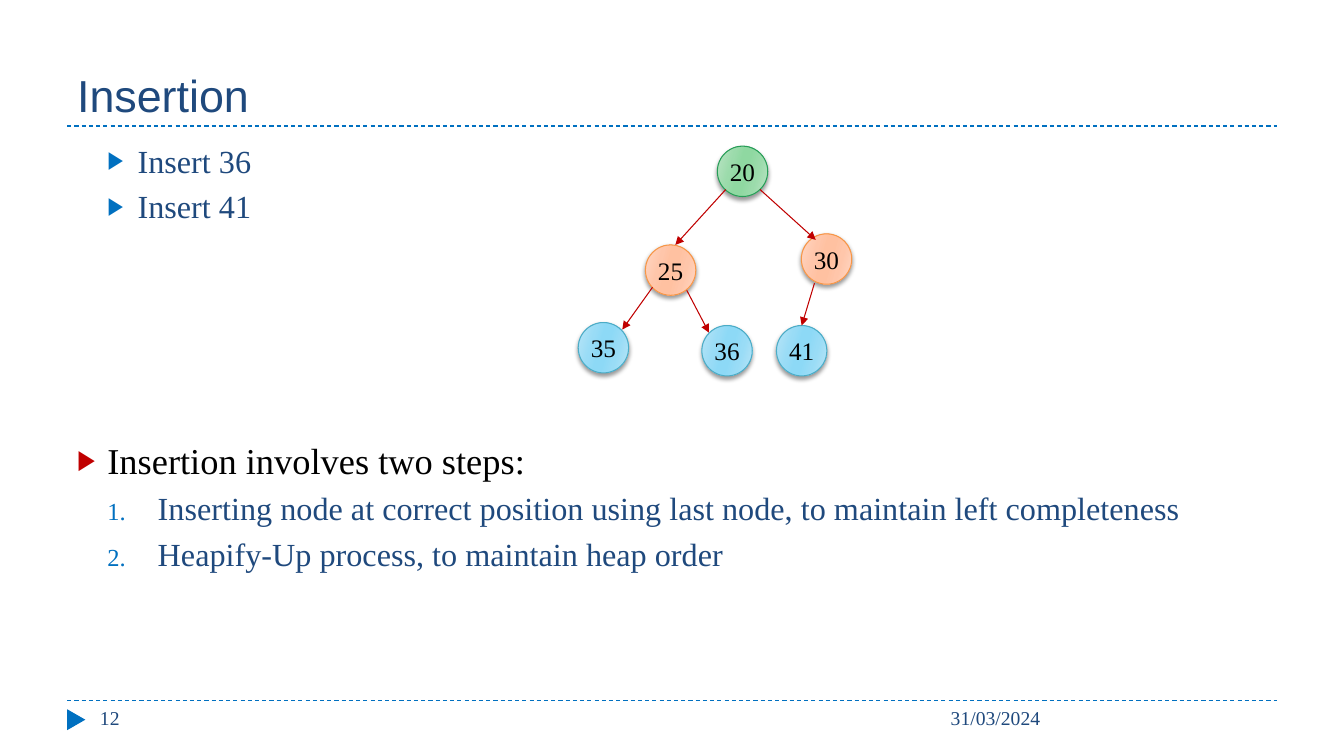
from dataclasses import dataclass

from lxml import etree
from pptx import Presentation
from pptx.dml.color import RGBColor
from pptx.enum.dml import MSO_LINE
from pptx.enum.shapes import MSO_CONNECTOR, MSO_SHAPE
from pptx.enum.text import MSO_ANCHOR, PP_ALIGN
from pptx.oxml import parse_xml
from pptx.oxml.ns import nsdecls, qn
from pptx.util import Emu, Inches, Pt

STRAIGHT = MSO_CONNECTOR.STRAIGHT
ELLIPSE = MSO_SHAPE.OVAL
TRIANGLE = MSO_SHAPE.ISOSCELES_TRIANGLE
DASH = MSO_LINE.DASH
TOP, MIDDLE, BOTTOM = MSO_ANCHOR.TOP, MSO_ANCHOR.MIDDLE, MSO_ANCHOR.BOTTOM
CENTER = PP_ALIGN.CENTER

# Grid: 20 columns by 30 rows
WIDTH, HEIGHT = Inches(13.33), Inches(7.5)
COLUMN, ROW = WIDTH / 20, HEIGHT / 30


@dataclass(frozen=True)
class Theme:
    heading_font: str = "Arial"
    body_font: str = "Times New Roman"
    navy: str = "1F497D"
    blue: str = "0070C0"
    red: str = "C00000"
    black: str = "000000"
    title_size: int = 32
    topic_size: int = 26
    item_size: int = 23
    node_size: int = 18
    footer_size: int = 14
    line_width: float = 0.75
    bullet_percent: int = 76
    node_diameter: float = 0.5


THEME = Theme()

# Outline colour, then gradient colours from edge to middle
ROOT = ("279D57", ("BBE4C5", "9BDBAB", "8FD8A1"))
INNER = ("F79646", ("FFD7C5", "FFC6AA", "FFC1A1"))
LEAF = ("4BACC6", ("B9E5F7", "99DCF6", "8DD9F6"))
GRADIENT_STOPS = ((0, 0), (30, 1), (45, 2), (55, 2), (73, 1), (100, 0))

# Label, centre column, centre row, style
NODES = (
    ("20", 11.05, 6.8, ROOT),
    ("25", 9.98, 10.72, INNER),
    ("30", 12.3, 10.28, INNER),
    ("35", 8.98, 13.8, LEAF),
    ("36", 10.82, 13.92, LEAF),
    ("41", 11.93, 13.92, LEAF),
)

# Start and end as column and row
EDGES = (
    ((10.8, 7.52), (10.05, 9.72)),
    ((11.31, 7.52), (12.14, 9.52)),
    ((9.71, 11.4), (9.26, 13.08)),
    ((10.22, 11.52), (10.55, 13.2)),
    ((12.12, 11.24), (11.93, 12.92)),
)

ARROW, NUMBER = ("a:buChar", "char", "▶"), ("a:buAutoNum", "type", "arabicPeriod")

# Text, size, colour, bullet, bullet colour, left and hanging inches, space before
BODY = (
    ("Insert 36", THEME.item_size, THEME.navy, ARROW, THEME.blue, 0.6, 0.3, 5),
    ("Insert 41", THEME.item_size, THEME.navy, ARROW, THEME.blue, 0.6, 0.3, 5),
    ("Insertion involves two steps:", THEME.topic_size, THEME.black,
     ARROW, THEME.red, 0.3, 0.3, 152),
    ("Inserting node at correct position using last node, to maintain left completeness",
     THEME.item_size, THEME.navy, NUMBER, THEME.blue, 0.8, 0.5, 5),
    ("Heapify-Up process, to maintain heap order",
     THEME.item_size, THEME.navy, NUMBER, THEME.blue, 0.8, 0.5, 5),
)


def columns(count):
    return Emu(round(count * COLUMN))


def rows(count):
    return Emu(round(count * ROW))


def set_font(paragraph, size, color, name=THEME.body_font):
    font = paragraph.font
    font.name, font.size = name, Pt(size)
    font.color.rgb = RGBColor.from_string(color)


def add_text_frame(slide, left, top, width, height, anchor=TOP):
    box = slide.shapes.add_textbox(columns(left), rows(top), columns(width), rows(height))
    frame = box.text_frame
    frame.word_wrap = True
    frame.vertical_anchor = anchor
    return frame


def add_label(slide, text, area, size, name=THEME.body_font, anchor=TOP):
    paragraph = add_text_frame(slide, *area, anchor).paragraphs[0]
    paragraph.text = text
    set_font(paragraph, size, THEME.navy, name)


def set_bullet(paragraph, bullet, color, left, hanging):
    properties = paragraph._p.get_or_add_pPr()
    properties.set("marL", str(Inches(left)))
    properties.set("indent", str(-Inches(hanging)))
    tag, attribute, value = bullet
    parts = (
        f'<a:buClr {nsdecls("a")}><a:srgbClr val="{color}"/></a:buClr>',
        f'<a:buSzPct {nsdecls("a")} val="{THEME.bullet_percent * 1000}"/>',
        f'<a:buFont {nsdecls("a")} typeface="{THEME.body_font}"/>',
        f'<{tag} {nsdecls("a")} {attribute}="{value}"/>',
    )
    # Bullet settings come before the default run properties
    for position, part in enumerate(parts, start=len(properties.findall(qn("a:spcBef")))):
        properties.insert(position, parse_xml(part))


def add_body(slide):
    frame = add_text_frame(slide, 1, 5.4, 18, 21.6)
    for index, (text, size, color, bullet, bullet_color, left, hanging, space) in enumerate(BODY):
        paragraph = frame.add_paragraph() if index else frame.paragraphs[0]
        paragraph.text = text
        paragraph.space_before = Pt(space)
        set_font(paragraph, size, color)
        set_bullet(paragraph, bullet, bullet_color, left, hanging)


def add_line(slide, start, end, color):
    line = slide.shapes.add_connector(
        STRAIGHT, columns(start[0]), rows(start[1]), columns(end[0]), rows(end[1]))
    line.line.color.rgb = RGBColor.from_string(color)
    line.line.width = Pt(THEME.line_width)
    etree.SubElement(line._element.spPr, qn("a:effectLst"))
    return line


def add_rule(slide, row):
    add_line(slide, (1, row), (19, row), THEME.blue).line.dash_style = DASH


def add_edge(slide, start, end):
    edge = add_line(slide, start, end, THEME.red)
    etree.SubElement(edge.line._get_or_add_ln(), qn("a:tailEnd"), type="triangle")


def add_node(slide, label, column, row, style):
    outline, shades = style
    size = Inches(THEME.node_diameter)
    node = slide.shapes.add_shape(
        ELLIPSE, columns(column) - size // 2, rows(row) - size // 2, size, size)
    stops = "".join(f'<a:gs pos="{position * 1000}"><a:srgbClr val="{shades[shade]}"/></a:gs>'
                    for position, shade in GRADIENT_STOPS)
    properties = node._element.spPr
    properties.append(parse_xml(
        f'<a:gradFill {nsdecls("a")} rotWithShape="1"><a:gsLst>{stops}</a:gsLst>'
        f'<a:lin ang="{16 * 60000}" scaled="0"/></a:gradFill>'))
    node.line.color.rgb = RGBColor.from_string(outline)
    node.line.width = Pt(THEME.line_width)
    properties.append(parse_xml(
        f'<a:effectLst {nsdecls("a")}><a:outerShdw blurRad="{Pt(3)}" dist="{Pt(2)}" '
        f'dir="{90 * 60000}" rotWithShape="0"><a:srgbClr val="{THEME.black}">'
        '<a:alpha val="40000"/></a:srgbClr></a:outerShdw></a:effectLst>'))
    frame = node.text_frame
    frame.margin_left = frame.margin_right = 0
    frame.vertical_anchor = MIDDLE
    paragraph = frame.paragraphs[0]
    paragraph.text, paragraph.alignment = label, CENTER
    set_font(paragraph, THEME.node_size, THEME.black)


def add_footer_marker(slide):
    marker = slide.shapes.add_shape(TRIANGLE, columns(0.98), rows(28.2), columns(0.31), rows(0.72))
    marker.rotation = 90
    marker.shadow.inherit = False
    marker.fill.solid()
    marker.fill.fore_color.rgb = RGBColor.from_string(THEME.blue)
    marker.line.fill.background()


def main():
    presentation = Presentation()
    presentation.slide_width, presentation.slide_height = WIDTH, HEIGHT
    slide = presentation.slides.add_slide(presentation.slide_layouts[6])

    # Title, rules and body
    for row in (5, 27.8):
        add_rule(slide, row)
    add_label(slide, "Insertion", (1, 0.68, 18, 4.32), THEME.title_size,
              THEME.heading_font, BOTTOM)
    add_body(slide)

    # Heap tree
    for node in NODES:
        add_node(slide, *node)
    for edge in EDGES:
        add_edge(slide, *edge)

    # Footer
    add_footer_marker(slide)
    add_label(slide, "12", (1.34, 27.8, 4.34, 1.6), THEME.footer_size)
    add_label(slide, "31/03/2024", (14, 27.8, 5, 1.6), THEME.footer_size)
    presentation.save("out.pptx")


if __name__ == "__main__":
    main()
